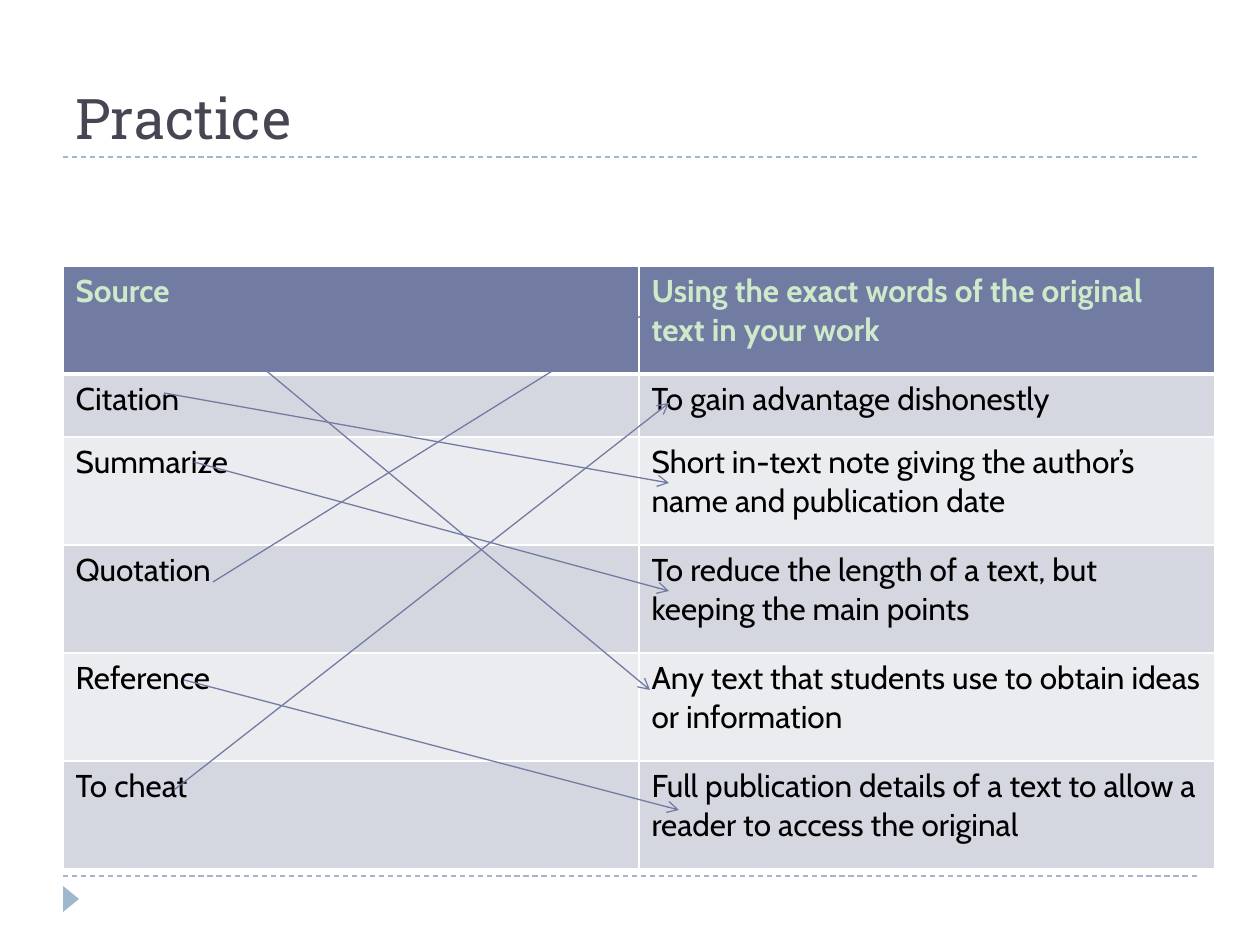
import pptx
import pptx.dml.color
import pptx.enum.dml
import pptx.enum.shapes
import pptx.enum.text
import pptx.oxml
import pptx.oxml.ns
import pptx.util

RGBColor = pptx.dml.color.RGBColor
WHITE = RGBColor(0xFF, 0xFF, 0xFF)
BLACK = RGBColor(0x00, 0x00, 0x00)
TITLE_GREY = RGBColor(0x46, 0x46, 0x53)
PALE_GREEN = RGBColor(0xCE, 0xEA, 0xCA)
INDIGO = RGBColor(0x72, 0x7C, 0xA3)
PALE_BLUE = RGBColor(0x9F, 0xB8, 0xCD)
BANDS = (RGBColor(0xD5, 0xD7, 0xE0), RGBColor(0xEB, 0xEC, 0xF0))

PX_PER_INCH = 126

ROWS = [
    ("Source", "Using the exact words of the original text in your work"),
    ("Citation", "To gain advantage dishonestly"),
    ("Summarize", "Short in-text note giving the author’s name and publication date"),
    ("Quotation", "To reduce the length of a text, but keeping the main points"),
    ("Reference", "Any text that students use to obtain ideas or information"),
    ("To cheat", "Full publication details of a text to allow a reader to access the original"),
]
ROW_HEIGHTS = (108, 63, 108, 108, 108, 108)
COL_WIDTH = 576

# Term to matching definition: x1, y1, x2, y2
MATCHES = [
    (174, 294, 650, 690),
    (174, 790, 669, 403),
    (213, 582, 660, 304),
    (194, 462, 669, 591),
    (164, 393, 669, 483),
    (184, 680, 679, 810),
]


def px(n):
    return pptx.util.Emu(round(n * 914400 / PX_PER_INCH))


def write(tf, text, color, **font):
    p = tf.paragraphs[0]
    r = p.add_run()
    r.text = text
    r.font.color.rgb = color
    for name, value in font.items():
        setattr(r.font, name, value)


def add_title(s, text):
    sp = s.shapes.add_textbox(px(63), px(21), px(1134), px(136))
    tf = sp.text_frame
    tf.word_wrap = True
    tf.vertical_anchor = pptx.enum.text.MSO_ANCHOR.BOTTOM
    write(tf, text, TITLE_GREY, name="Roboto Slab", size=pptx.util.Pt(32))


def add_line(s, ends, color, dashed=False, arrow=False):
    kind = pptx.enum.shapes.MSO_CONNECTOR.STRAIGHT
    cx = s.shapes.add_connector(kind, *map(px, ends))
    cx.line.color.rgb = color
    cx.line.width = pptx.util.Pt(0.75)
    if dashed:
        cx.line.dash_style = pptx.enum.dml.MSO_LINE.DASH
    sp_pr = cx._element.spPr
    if arrow:
        tail = pptx.oxml.parse_xml(
            f'<a:tailEnd {pptx.oxml.ns.nsdecls("a")} type="arrow"/>')
        sp_pr.find(pptx.oxml.ns.qn("a:ln")).append(tail)
    sp_pr.append(pptx.oxml.parse_xml(
        f'<a:effectLst {pptx.oxml.ns.nsdecls("a")}/>'))


def add_marker(s):
    kind = pptx.enum.shapes.MSO_SHAPE.ISOSCELES_TRIANGLE
    sp = s.shapes.add_shape(kind, px(58), px(891), px(26), px(16))
    sp.rotation = 90
    sp.shadow.inherit = False
    sp.fill.solid()
    sp.fill.fore_color.rgb = PALE_BLUE
    sp.line.fill.background()


def set_borders(cell, widths):
    tc_pr = cell._tc.get_or_add_tcPr()
    for side, width in widths.items():
        tc_pr.append(pptx.oxml.parse_xml(
            f'<a:ln{side} {pptx.oxml.ns.nsdecls("a")} w="{pptx.util.Pt(width)}">'
            f'<a:solidFill><a:srgbClr val="{WHITE}"/></a:solidFill></a:ln{side}>'))


def add_matching_table(s):
    table = s.shapes.add_table(len(ROWS), 2, px(63), px(266),
                               px(2 * COL_WIDTH), px(sum(ROW_HEIGHTS))).table
    table.horz_banding = False
    for col in table.columns:
        col.width = px(COL_WIDTH)
    for i, texts in enumerate(ROWS):
        table.rows[i].height = px(ROW_HEIGHTS[i])
        header = i == 0
        for j, text in enumerate(texts):
            cell = table.cell(i, j)
            set_borders(cell, {"L": 1, "R": 1, "T": 3 if i == 1 else 1,
                               "B": 3 if header else 1})
            cell.fill.solid()
            cell.fill.fore_color.rgb = INDIGO if header else BANDS[(i - 1) % 2]
            write(cell.text_frame, text, PALE_GREEN if header else BLACK,
                  name="Cabin", size=pptx.util.Pt(18), bold=header)


def main():
    prs = pptx.Presentation()
    prs.slide_width, prs.slide_height = px(1260), px(945)
    s = prs.slides.add_slide(prs.slide_layouts[6])
    s.background.fill.solid()
    s.background.fill.fore_color.rgb = WHITE

    # Frame: dashed rules and corner marker
    for y in (876, 157):
        add_line(s, (63, y, 1197, y), PALE_BLUE, dashed=True)
    add_marker(s)

    # Content
    add_title(s, "Practice")
    add_matching_table(s)

    # Answers
    for ends in MATCHES:
        add_line(s, ends, INDIGO, arrow=True)

    prs.save("out.pptx")


if __name__ == "__main__":
    main()
